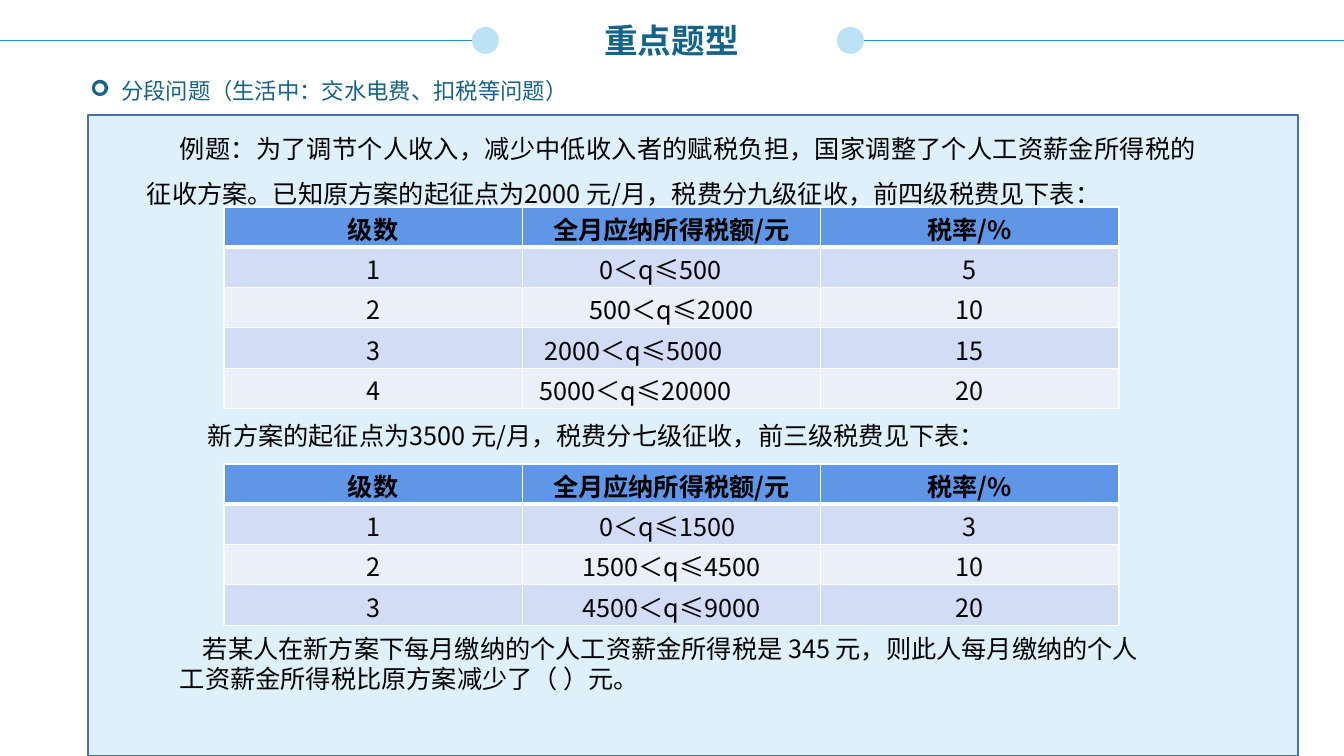
from lxml.etree import SubElement
from pptx import Presentation
from pptx.dml.color import RGBColor as Color
from pptx.enum.shapes import MSO_CONNECTOR as Connector, MSO_SHAPE as Shape
from pptx.enum.text import MSO_ANCHOR as Anchor, MSO_AUTO_SIZE as AutoSize, PP_ALIGN as Align
from pptx.oxml.ns import qn
from pptx.util import Emu, Pt

PX = 914400 / 100.8
THEME = {
    "cjk": "Noto Sans CJK SC", "latin": "Arial",
    "title": 24, "topic": 16, "text": 18,
    "blue": "156389", "line": "2094CE", "dot": "BCE2F5",
    "panel": "DEF0FA", "panel_line": "476FAA", "ink": "000000",
    "header": "6096E6", "bands": ["D2DDF5", "EAEFFA"], "border": "FFFFFF",
}


def px(*lengths):
    values = [Emu(round(length * PX)) for length in lengths]
    return values if len(values) > 1 else values[0]


def style(para, size, color, bold=False, name=THEME["cjk"]):
    para.font.name = name
    para.font.size = Pt(size)
    para.font.bold = bold
    para.font.color.rgb = Color.from_string(color)
    defaults = para._p.pPr.find(qn("a:defRPr"))
    SubElement(defaults, qn("a:ea"), typeface=THEME["cjk"])


deck = Presentation()
deck.slide_width, deck.slide_height = px(1344, 756)
page = deck.slides.add_slide(deck.slide_layouts[1])

# Title and topic line
title, topic = page.placeholders
title.left, title.top, title.width, title.height = px(527, 15, 289, 51)
topic.left, topic.top, topic.width, topic.height = px(80, 69, 1129, 44)
for box, words, anchor in [(title, "重点题型", Anchor.MIDDLE),
                           (topic, "分段问题（生活中：交水电费、扣税等问题）", Anchor.MIDDLE)]:
    box.text_frame.text = words
    box.text_frame.auto_size = AutoSize.NONE
    box.text_frame.vertical_anchor = anchor
para = title.text_frame.paragraphs[0]
para.alignment = Align.CENTER
style(para, THEME["title"], THEME["blue"], True, THEME["latin"])
para = topic.text_frame.paragraphs[0]
para.space_before = Pt(0)
props = para._p.get_or_add_pPr()
props.set("marL", str(px(31)))
props.set("indent", str(px(-31)))
SubElement(props, qn("a:buFont"), typeface="Wingdings")
SubElement(props, qn("a:buChar"), char="➢")
style(para, THEME["topic"], THEME["blue"])

# Rules and dots on both sides of the title
for start, end, dot_left in [(0, 482, 472), (864, 1347, 837)]:
    rule = page.shapes.add_connector(Connector.STRAIGHT, *px(start, 40, end, 40))
    rule.line.color.rgb = Color.from_string(THEME["line"])
    rule.line.width = Pt(0.5)
    SubElement(rule._element.spPr, qn("a:effectLst"))
    dot = page.shapes.add_shape(Shape.OVAL, *px(dot_left, 27, 27, 27))
    dot.shadow.inherit = False
    dot.fill.solid()
    dot.fill.fore_color.rgb = Color.from_string(THEME["dot"])
    dot.line.fill.background()

# Panel
panel = page.shapes.add_shape(Shape.RECTANGLE, *px(88, 115, 1210, 641))
panel.shadow.inherit = False
panel.fill.solid()
panel.fill.fore_color.rgb = Color.from_string(THEME["panel"])
panel.line.color.rgb = Color.from_string(THEME["panel_line"])
panel.line.width = Pt(1)

# Problem text: words, first-line indent (px), line pitch and space before (pt)
PROBLEM = [
    ("例题：为了调节个人收入，减少中低收入者的赋税负担，国家调整了个人工资薪金所得税的"
     "征收方案。已知原方案的起征点为2000 元/月，税费分九级征收，前四级税费见下表：", 33, 31.5, 0),
    ("新方案的起征点为3500 元/月，税费分七级征收，前三级税费见下表：", 61, 21.5, 151.5),
    ("若某人在新方案下每月缴纳的个人工资薪金所得税是 345 元，则此人每月缴纳的个人", 56, 21.5, 130.5),
    ("工资薪金所得税比原方案减少了（ ）元。", 33, 21.5, 0),
]
problem = page.shapes.add_textbox(*px(137, 115, 1070, 591)).text_frame
problem.word_wrap = True
for index, (words, indent, pitch, gap) in enumerate(PROBLEM):
    para = problem.add_paragraph() if index else problem.paragraphs[0]
    para.text = words
    para.alignment = Align.JUSTIFY
    para.line_spacing = Pt(pitch)
    para.space_before = Pt(gap)
    para._p.get_or_add_pPr().set("indent", str(px(indent)))
    style(para, THEME["text"], THEME["ink"])

# Tax tables: range, rate, and how far the range sits left of centre (px)
HEADER = ["级数", "全月应纳所得税额/元", "税率/%"]
TABLES = [
    (207, [("0＜q≤500", 5, 11), ("500＜q≤2000", 10, 0),
           ("2000＜q≤5000", 15, 38), ("5000＜q≤20000", 20, 36)]),
    (464, [("0＜q≤1500", 3, 4), ("1500＜q≤4500", 10, 0), ("4500＜q≤9000", 20, 0)]),
]
ROW = 40.3
for top, levels in TABLES:
    rows = [(HEADER, 0)] + [([level, span, rate], shift)
                            for level, (span, rate, shift) in enumerate(levels, 1)]
    table = page.shapes.add_table(len(rows), 3, *px(224, top, 895, ROW * len(rows))).table
    for r, (texts, shift) in enumerate(rows):
        table.rows[r].height = px(ROW)
        for c, words in enumerate(texts):
            cell = table.cell(r, c)
            cell.text = str(words)
            cell.margin_left, cell.margin_top, cell.margin_bottom = px(4, 3, 0)
            cell.margin_right = px(4 + 2 * shift * (c == 1))
            para = cell.text_frame.paragraphs[0]
            para.alignment = Align.CENTER
            style(para, THEME["text"], THEME["ink"], r == 0)
            for side in ["lnL", "lnR", "lnT", "lnB"]:
                thick = (r == 0 and side == "lnB") or (r == 1 and side == "lnT")
                edge = SubElement(cell._tc.get_or_add_tcPr(), qn("a:" + side),
                                  w=str(Pt(3 if thick else 1)))
                paint = SubElement(edge, qn("a:solidFill"))
                SubElement(paint, qn("a:srgbClr"), val=THEME["border"])
            cell.fill.solid()
            band = THEME["bands"][(r - 1) % 2] if r else THEME["header"]
            cell.fill.fore_color.rgb = Color.from_string(band)

deck.save("out.pptx")
